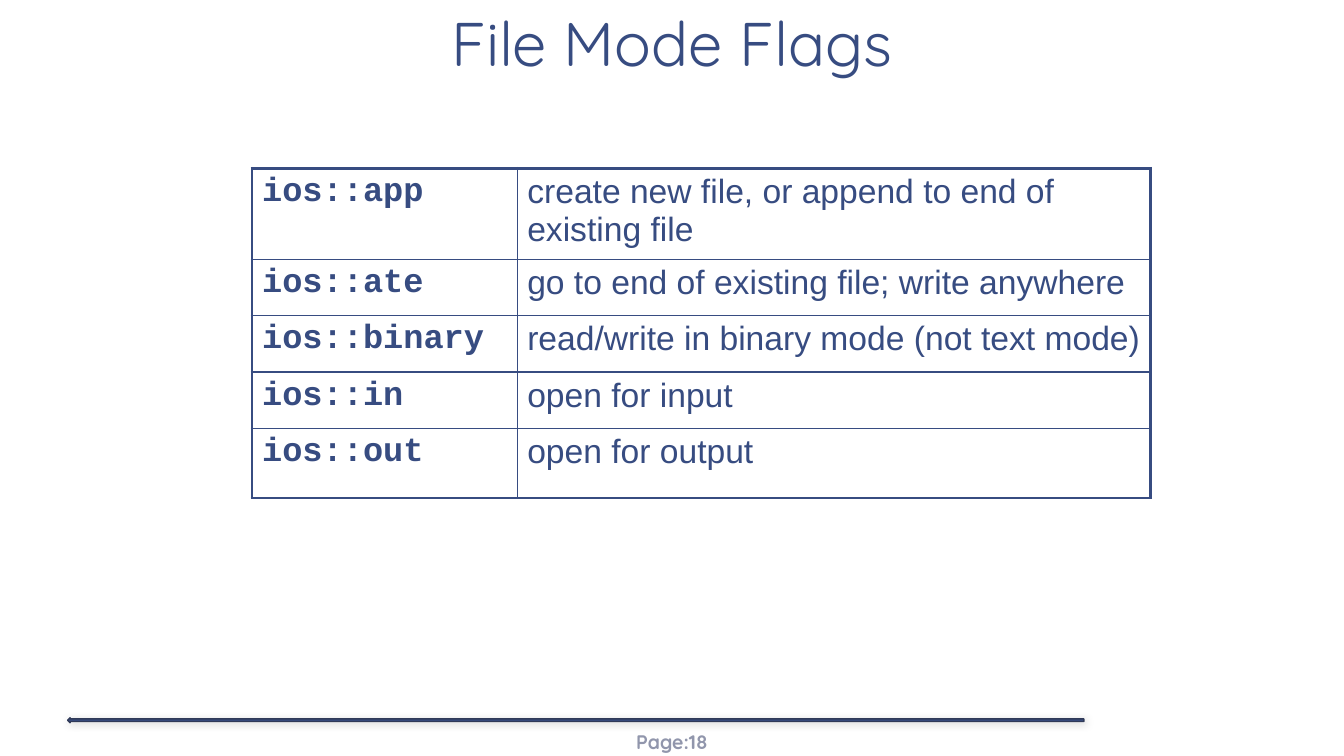
from lxml.etree import SubElement as Sub
from pptx import Presentation
from pptx.dml.color import RGBColor as RGB
from pptx.enum.shapes import MSO_SHAPE as Shape
from pptx.enum.text import MSO_ANCHOR as Anchor, PP_ALIGN as Align
from pptx.oxml.ns import qn
from pptx.util import Inches, Pt

COLORS = {"navy": "374C81", "edge": "303A58", "gray": "9196AC", "black": "000000"}
FLAGS = [
    ("ios::app", "create new file, or append to end of existing file"),
    ("ios::ate", "go to end of existing file; write anywhere"),
    ("ios::binary", "read/write in binary mode (not text mode)"),
    ("ios::in", "open for input"),
    ("ios::out", "open for output"),
]
WIDTHS = [2.63, 6.28]
HEIGHTS = [0.9, 0.56, 0.56, 0.56, 0.69]
THICK, THIN = 2.25, 1


def color(name):
    return RGB.from_string(COLORS[name])


def write(frame, text, size=24, font="Quicksand", tint="navy", bold=False,
          align=Align.LEFT, anchor=Anchor.TOP, pad=(0.1, 0.05), spacing=None):
    frame.word_wrap = True
    frame.vertical_anchor = anchor
    frame.margin_left = frame.margin_right = Inches(pad[0])
    frame.margin_top = frame.margin_bottom = Inches(pad[1])
    para = frame.paragraphs[0]
    para.alignment = align
    para.line_spacing = spacing
    run = para.add_run()
    run.text = text
    run.font.size = Pt(size)
    run.font.name = font
    run.font.bold = bold
    run.font.color.rgb = color(tint)


def add_text(slide, box, text, **style):
    write(slide.shapes.add_textbox(*map(Inches, box)).text_frame, text, **style)


def add_border(cell, widths):
    """Draw the left, right, top and bottom edges in the given point widths."""
    props = cell._tc.get_or_add_tcPr()
    for side, width in zip("LRTB", widths):
        line = Sub(props, qn(f"a:ln{side}"), w=str(Pt(width)))
        fill = Sub(line, qn("a:solidFill"))
        Sub(fill, qn("a:srgbClr"), val=COLORS["navy"])


def add_flags(slide, box):
    rows, cols = len(FLAGS), len(WIDTHS)
    table = slide.shapes.add_table(rows, cols, *map(Inches, box)).table
    table.first_row = table.horz_banding = False
    for col, width in zip(table.columns, WIDTHS):
        col.width = Inches(width)
    for r, (pair, height) in enumerate(zip(FLAGS, HEIGHTS)):
        table.rows[r].height = Inches(height)
        for c, text in enumerate(pair):
            cell = table.cell(r, c)
            outer = (c == 0, c == cols - 1, r == 0, r == rows - 1)
            add_border(cell, [THICK if edge else THIN for edge in outer])
            cell.fill.background()
            write(cell.text_frame, text, bold=c == 0,
                  font="Arial" if c else "Courier New")
            cell.margin_left = cell.margin_right = Inches(0.1)
            cell.margin_top = cell.margin_bottom = Inches(0.05)


def add_shadow(shape):
    shape.shadow.inherit = False
    effects = shape._element.spPr.find(qn("a:effectLst"))
    shade = Sub(effects, qn("a:outerShdw"), blurRad=str(Pt(6)), dist=str(Pt(1)),
                dir=str(45 * 60000), algn="tl", rotWithShape="0")
    tint = Sub(shade, qn("a:srgbClr"), val=COLORS["black"])
    Sub(tint, qn("a:alpha"), val="20000")


def add_footer(slide, box):
    left, top, width, height = box
    arrow = slide.shapes.add_shape(
        Shape.LEFT_ARROW, *map(Inches, (left, top, width, 0.05)))
    arrow.fill.solid()
    arrow.fill.fore_color.rgb = color("navy")
    arrow.line.color.rgb = color("edge")
    arrow.line.width = Pt(1)
    add_shadow(arrow)
    add_text(slide, (left + 5.11, top + 0.04, 1.77, height - 0.04), "Page:18",
             size=14, tint="gray", bold=True, align=Align.CENTER,
             anchor=Anchor.MIDDLE, pad=(0.04, 0.02))


def main():
    deck = Presentation()
    deck.slide_width, deck.slide_height = Inches(13.33), Inches(7.5)
    slide = deck.slides.add_slide(deck.slide_layouts[6])
    add_footer(slide, (0.67, 7.12, 10.08, 0.44))
    add_text(slide, (0, 0, 13.33, 0.86), "File Mode Flags", size=44,
             align=Align.CENTER, anchor=Anchor.BOTTOM, pad=(0.13, 0.07),
             spacing=0.85)
    add_flags(slide, (2.5, 1.67, sum(WIDTHS), sum(HEIGHTS)))
    deck.save("out.pptx")


if __name__ == "__main__":
    main()
